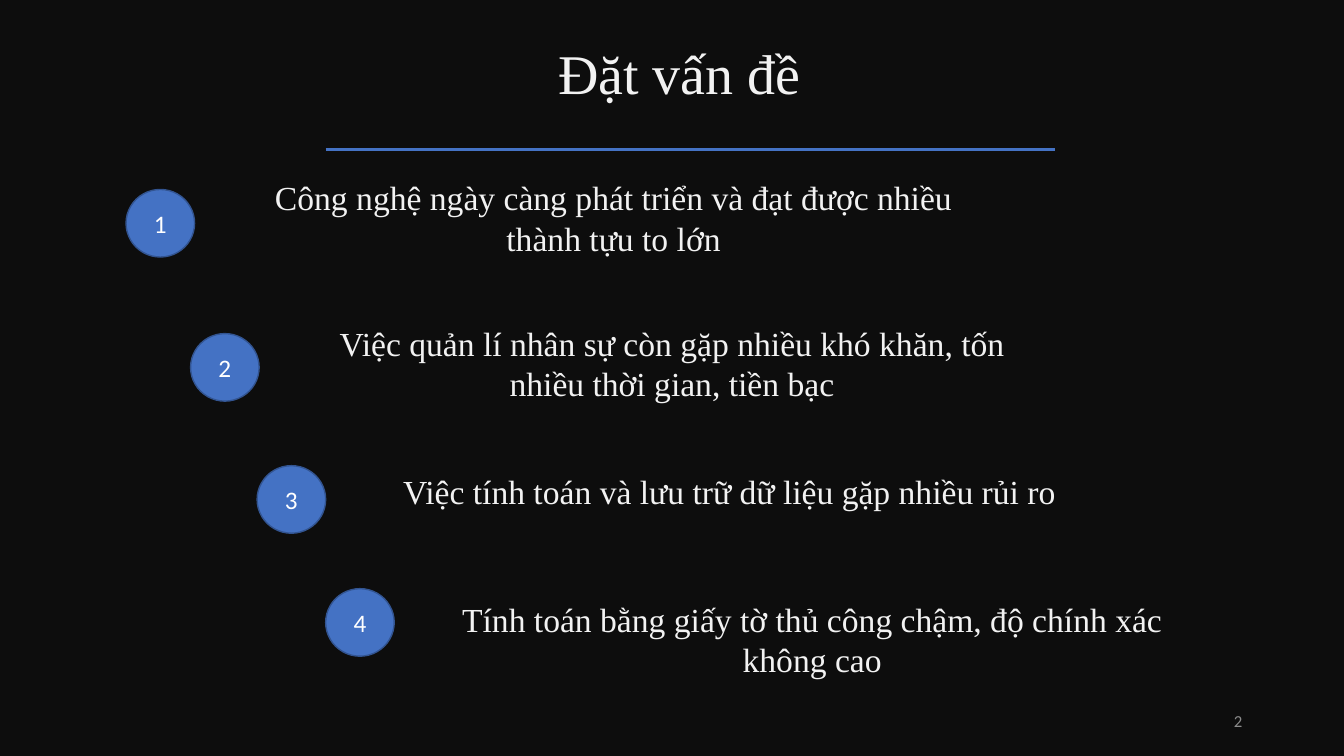
from pptx import Presentation
from pptx.dml.color import RGBColor
from pptx.enum.shapes import MSO_CONNECTOR, MSO_SHAPE
from pptx.enum.text import MSO_ANCHOR, PP_ALIGN
from pptx.util import Pt
from lxml import etree

PX = 9144  # 100 px to the inch
SERIF, SANS = "Times New Roman", "Calibri"
BLUE, EDGE, WHITE, PALE, GREY = "4472C4", "325491", "FFFFFF", "F2F2F2", "8C8C8C"


def rgb(value):
    return RGBColor.from_string(value)


def write(s, text, size, font, color, align, anchor=MSO_ANCHOR.MIDDLE):
    """Fill a shape with one styled paragraph and return the paragraph."""
    tf = s.text_frame
    tf.word_wrap = True
    tf.vertical_anchor = anchor
    tf.text = text
    p = tf.paragraphs[0]
    p.alignment = align
    r = p.runs[0]
    r.font.size = Pt(size)
    r.font.name = font
    r.font.color.rgb = rgb(color)
    return p


prs = Presentation()
prs.slide_width, prs.slide_height = 1333 * PX, 750 * PX
slide = prs.slides.add_slide(prs.slide_layouts[6])
slide.background.fill.solid()
slide.background.fill.fore_color.rgb = rgb("0D0D0D")

# Title and the rule below it
title = slide.shapes.add_textbox(92 * PX, 3 * PX, 1150 * PX, 145 * PX)
p = write(title, " Đặt vấn đề", 40, SERIF, PALE, PP_ALIGN.CENTER)
p.line_spacing = 0.9

rule = slide.shapes.add_connector(
    MSO_CONNECTOR.STRAIGHT, 323 * PX, 148 * PX, 1046 * PX, 148 * PX)
rule.line.color.rgb = rgb(BLUE)
rule.line.width = Pt(2)
etree.SubElement(
    rule.line._get_or_add_ln().getparent(),
    "{http://schemas.openxmlformats.org/drawingml/2006/main}effectLst")

# Numbered points: circle left, top; text left, top, height; alignment; wording
points = [
    (125, 188, 239, 171, 91, PP_ALIGN.CENTER,
     "Công nghệ ngày càng phát triển và đạt được nhiều thành tựu to lớn"),
    (189, 331, 297, 315, 91, PP_ALIGN.CENTER,
     "Việc quản lí nhân sự còn gặp nhiều khó khăn, tốn nhiều thời gian, tiền bạc"),
    (255, 462, 390, 462, 50, PP_ALIGN.LEFT,
     "Việc tính toán và lưu trữ dữ liệu gặp nhiều rủi ro"),
    (323, 584, 436, 589, 91, PP_ALIGN.CENTER,
     "Tính toán bằng giấy tờ thủ công chậm, độ chính xác không cao"),
]
for number, (cx, cy, x, y, h, align, wording) in enumerate(points, 1):
    circle = slide.shapes.add_shape(
        MSO_SHAPE.FLOWCHART_CONNECTOR, cx * PX, cy * PX, 68 * PX, 67 * PX)
    circle.shadow.inherit = False
    circle.fill.solid()
    circle.fill.fore_color.rgb = rgb(BLUE)
    circle.line.color.rgb = rgb(EDGE)
    circle.line.width = Pt(1)
    write(circle, str(number), 18, SANS, WHITE, PP_ALIGN.CENTER)

    box = slide.shapes.add_textbox(x * PX, y * PX, 739 * PX, h * PX)
    write(box, wording, 24, SERIF, PALE, align, MSO_ANCHOR.TOP)

# Slide number
page = slide.shapes.add_textbox(942 * PX, 695 * PX, 300 * PX, 40 * PX)
write(page, "2", 12, SANS, GREY, PP_ALIGN.RIGHT)

prs.save("out.pptx")
